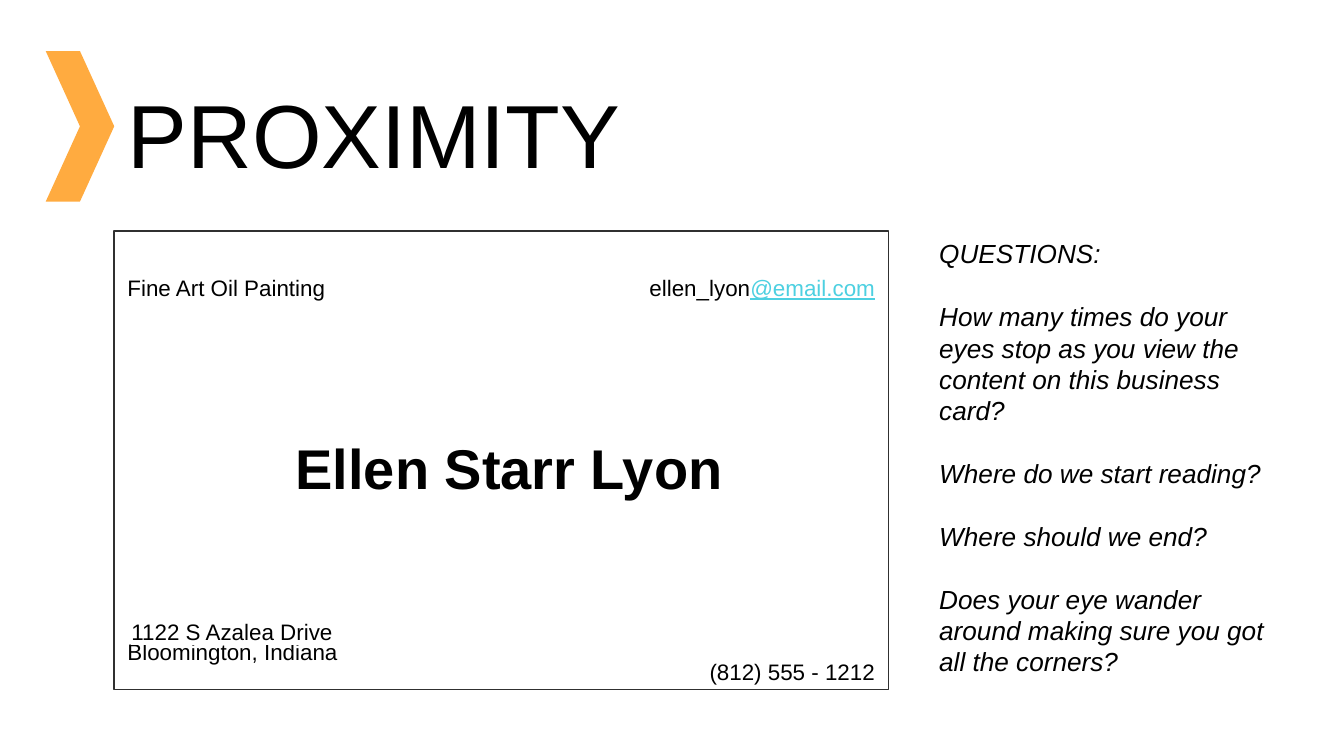
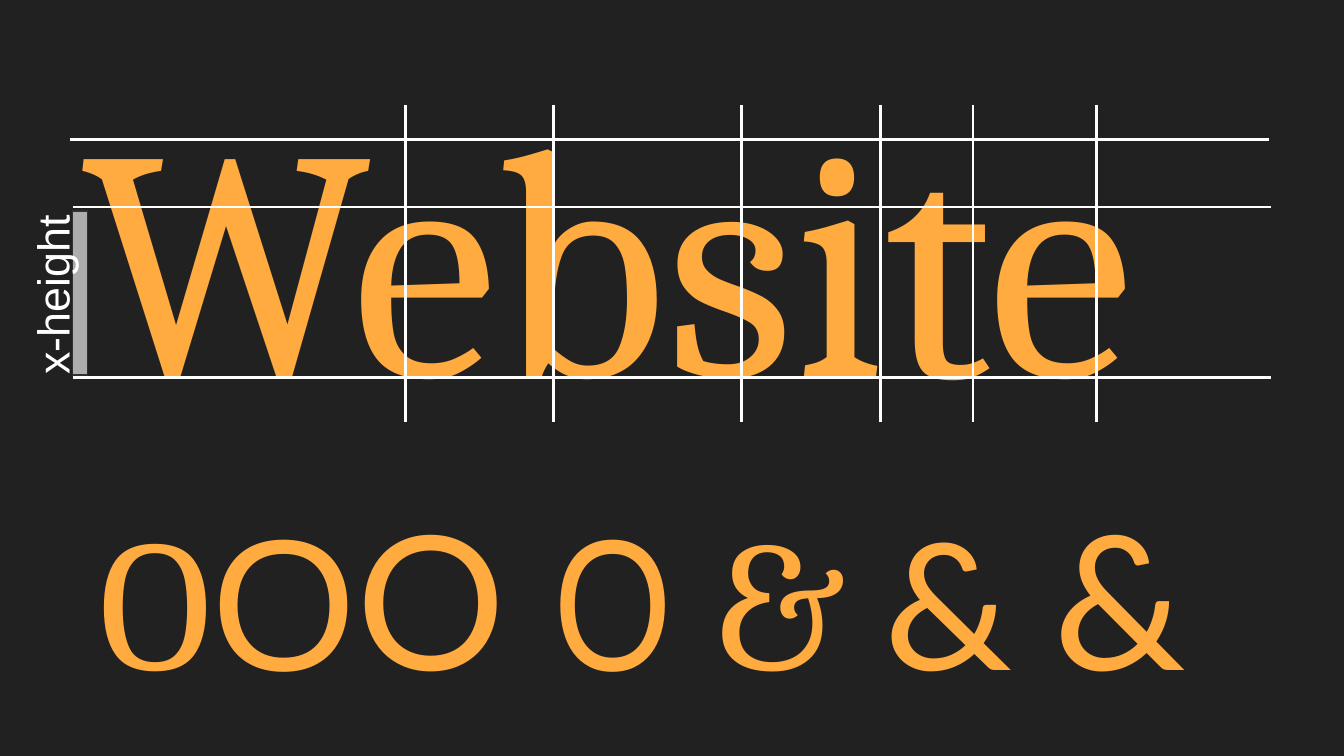
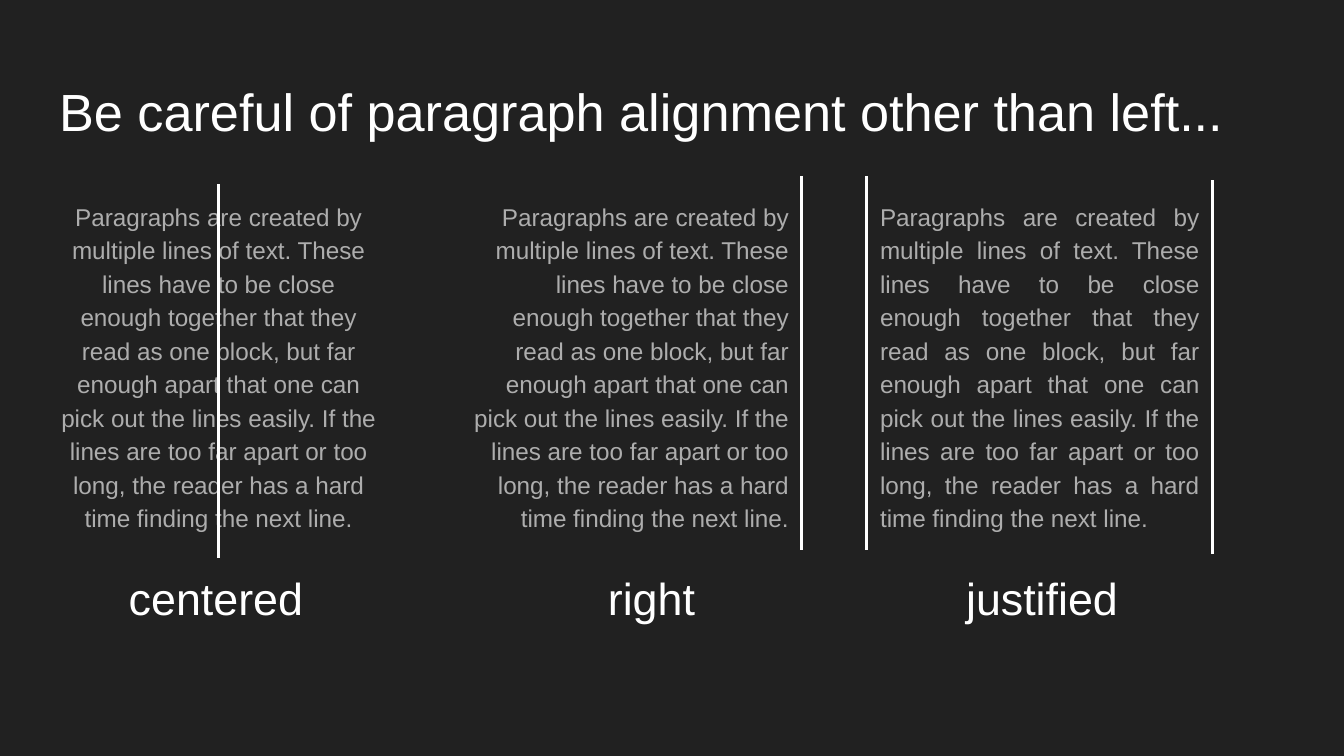
from dataclasses import dataclass

from lxml.etree import SubElement
from pptx import Presentation
from pptx.dml.color import RGBColor
from pptx.enum.shapes import MSO_CONNECTOR as Connector, MSO_SHAPE as Preset
from pptx.enum.text import MSO_ANCHOR as Anchor, MSO_AUTO_SIZE as AutoSize, PP_ALIGN as Align
from pptx.oxml import parse_xml
from pptx.oxml.ns import nsdecls, qn
from pptx.util import Inches, Pt


@dataclass(frozen=True)
class Theme:
    white: str = "FFFFFF"
    black: str = "000000"
    dark: str = "212121"
    outline: str = "303030"
    orange: str = "FFAB40"
    grey: str = "ADADAD"
    link: str = "4DD0E1"
    font: str = "Arial"
    serif: str = "Cambria"
    banner: int = 48
    title: int = 28
    label: int = 24
    body: int = 13
    question: int = 14
    card: int = 12
    card_name: int = 30
    word: int = 175
    glyphs: int = 100
    hairline: float = 0.75
    guide: float = 1.5
    inset: float = 0.1


T = Theme()
WIDTH = 10
HEIGHT = WIDTH * 9 / 16
TITLE_TOP, TITLE_HEIGHT, MARGIN = 0.49, 0.63, 0.34

# Content: proximity
CARD = (0.85, 1.72, 5.76, 3.41)
CARD_RIGHT = CARD[0] + CARD[2]
CARD_HALF = 2.77
RIGHT_HALF = CARD_RIGHT - CARD_HALF
CARD_TEXTS = [  # runs, place, paragraph format, anchor
    ([("Bloomington, Indiana", {})], (CARD[0], 4.65, 2.87, 0.5), {}, Anchor.TOP),
    ([("Fine Art Oil Painting", {})], (CARD[0], CARD[1], CARD_HALF, 0.81),
     {"line_spacing": 1.15}, Anchor.MIDDLE),
    ([("ellen_lyon", {}), ("@email.com", {"color": T.link, "underline": True})],
     (RIGHT_HALF, CARD[1], CARD_HALF, 0.81),
     {"line_spacing": 1.15, "alignment": Align.RIGHT}, Anchor.MIDDLE),
    ([("(812) 555 - 1212", {})], (RIGHT_HALF, 4.67, CARD_HALF, 0.63),
     {"line_spacing": 1.15, "alignment": Align.RIGHT}, Anchor.MIDDLE),
    ([("1122 S Azalea Drive", {})], (0.88, 4.34, 2.66, 0.72), {}, Anchor.MIDDLE),
]
QUESTIONS = [
    "QUESTIONS:",
    "How many times do your eyes stop as you view the content on this business card?",
    "Where do we start reading?",
    "Where should we end?",
    "Does your eye wander around making sure you got all the corners?",
]

# Content: letterforms
HEIGHT_LINES = [(0.52, 1.04), (0.54, 2.81), (0.54, 1.54)]  # left, y
HEIGHT_LINE_LENGTH = 8.92
LETTER_EDGES = [3.02, 4.12, 5.52, 6.55, 7.24, 8.16]
EDGE_TOP, EDGE_BOTTOM = 0.78, 3.14
GLYPHS = [("O", T.serif), ("O", T.font), ("O ", "Lato"), ("O ", "Arial Narrow"),
          ("& ", T.serif), ("& ", "Calibri"), ("&", "Lato")]

# Content: alignment
SAMPLE = ("Paragraphs are created by multiple lines of text. These lines have to be "
          "close enough together that they read as one block, but far enough apart "
          "that one can pick out the lines easily. If the lines are too far apart or "
          "too long, the reader has a hard time finding the next line.")
COLUMN_WIDTH, COLUMN_TOP = 2.57, 1.37
COLUMN_PITCH = (6.45 - MARGIN) / 2
LABEL_TOP, GUIDE_LENGTH = 4.15, 2.78
COLUMNS = [  # label, alignment, label offset and width, guides (share of column, top)
    ("centered", Align.CENTER, 0.52, 1.86, [(0.5, 1.37)]),
    ("right", Align.RIGHT, 1.03, 1.14, [(1, 1.31)]),
    ("justified", Align.JUSTIFY, 0.64, 1.46, [(0, 1.31), (1, 1.34)]),
]


# Shared builders
def rgb(value):
    return RGBColor.from_string(value)


def inches(values):
    return [Inches(value) for value in values]


def apply(target, formats):
    for key, value in formats.items():
        setattr(target, key, value)


def add_run(paragraph, text, size, color, name=T.font, highlight=None, **formats):
    run = paragraph.add_run()
    run.text = text
    apply(run.font, {"size": Pt(size), "name": name, **formats})
    run.font.color.rgb = rgb(color)
    if highlight:  # the highlight has to follow the fill
        mark = parse_xml(f"<a:highlight {nsdecls('a')}><a:srgbClr val='{highlight}'/></a:highlight>")
        run.font._element.find(qn("a:solidFill")).addnext(mark)


def write(box, paragraphs, style, layout=None, anchor=Anchor.TOP, gap=0):
    """Each paragraph is a list of (text, style overrides)."""
    frame = box.text_frame
    margins = ("margin_left", "margin_top", "margin_right", "margin_bottom")
    apply(frame, {"word_wrap": True, "auto_size": AutoSize.NONE, "vertical_anchor": anchor,
                  **dict.fromkeys(margins, Inches(T.inset))})
    for index, runs in enumerate(paragraphs):
        paragraph = frame.add_paragraph() if index else frame.paragraphs[0]
        apply(paragraph, {"alignment": Align.LEFT, "space_before": Pt(gap if index else 0),
                          **(layout or {})})
        for text, changes in runs:
            add_run(paragraph, text, **{**style, **changes})


def add_text(slide, place, paragraphs, style, **options):
    box = slide.shapes.add_textbox(*inches(place))
    write(box, paragraphs, style, **options)
    return box


def add_title(slide, text, left, size, color):
    title = slide.shapes.title
    place = inches((left, TITLE_TOP, WIDTH - MARGIN - left, TITLE_HEIGHT))
    apply(title, dict(zip(("left", "top", "width", "height"), place)))
    write(title, [[(text, {})]], {"size": size, "color": color})


def add_preset(slide, preset, place, fill=None, line=None):
    shape = slide.shapes.add_shape(preset, *inches(place))
    shape.shadow.inherit = False
    if fill:
        shape.fill.solid()
        shape.fill.fore_color.rgb = rgb(fill)
    else:
        shape.fill.background()
    if line:
        shape.line.color.rgb = rgb(line)
        shape.line.width = Pt(T.hairline)
    else:
        shape.line.fill.background()


def add_guide(slide, x1, y1, x2, y2):
    guide = slide.shapes.add_connector(Connector.STRAIGHT, *inches((x1, y1, x2, y2)))
    guide.line.color.rgb = rgb(T.white)
    guide.line.width = Pt(T.guide)
    SubElement(guide._element.spPr, qn("a:effectLst"))


def new_slide(deck, background, titled=True):
    slide = deck.slides.add_slide(deck.slide_layouts[5 if titled else 6])
    slide.background.fill.solid()
    slide.background.fill.fore_color.rgb = rgb(background)
    return slide


# Slides
def proximity(deck):
    slide = new_slide(deck, T.white)
    add_preset(slide, Preset.RECTANGLE, CARD, line=T.outline)
    add_title(slide, "PROXIMITY", CARD[0], T.banner, T.black)
    add_preset(slide, Preset.CHEVRON, (MARGIN, 0.38, CARD[0] - MARGIN, 1.12), fill=T.orange)
    detail = {"size": T.card, "color": T.black, "highlight": T.white}
    for runs, place, layout, anchor in CARD_TEXTS:
        add_text(slide, place, [runs], detail, anchor=anchor,
                 layout={"space_after": Pt(16), **layout})
    add_text(slide, (6.89, 1.67, 2.77, 3.46), [[(question, {})] for question in QUESTIONS],
             {"size": T.question, "color": T.black, "italic": True}, gap=1.2 * T.question)
    add_text(slide, (1.82, 3.03, 3.94, 0.81), [[("Ellen Starr Lyon", {})]],
             {"size": T.card_name, "color": T.black, "bold": True}, anchor=Anchor.MIDDLE,
             layout={"alignment": Align.CENTER, "line_spacing": 1.15, "space_after": Pt(16)})


def letterforms(deck):
    slide = new_slide(deck, T.dark, titled=False)
    add_preset(slide, Preset.RECTANGLE, (0.54, 1.57, 0.11, 1.22), T.grey, T.outline)
    add_text(slide, (0.51, 0.28, 9.29, 2.37), [[("Website", {})]],
             {"size": T.word, "color": T.orange, "name": T.serif})
    for left, y in HEIGHT_LINES:
        add_guide(slide, left, y, left + HEIGHT_LINE_LENGTH, y)
    for x in LETTER_EDGES:
        add_guide(slide, x, EDGE_TOP, x, EDGE_BOTTOM)
    caption = add_text(slide, (-0.48, 1.59, 1.86, 0.73), [[("x-height", {})]],
                       {"size": T.label, "color": T.white})
    caption.rotation = 270
    add_text(slide, (0.64, 3.5, 8.82, 1.52), [[(glyph, {"name": face}) for glyph, face in GLYPHS]],
             {"size": T.glyphs, "color": T.orange})


def alignment(deck):
    slide = new_slide(deck, T.dark)
    add_title(slide, "Be careful of paragraph alignment other than left...",
              MARGIN, T.title, T.white)
    for index, (label, align, offset, label_width, guides) in enumerate(COLUMNS):
        left = MARGIN + index * COLUMN_PITCH
        add_text(slide, (left, COLUMN_TOP, COLUMN_WIDTH, 3.32), [[(SAMPLE, {})]],
                 {"size": T.body, "color": T.grey},
                 layout={"alignment": align, "line_spacing": 1.15, "space_after": Pt(16)})
        add_text(slide, (left + offset, LABEL_TOP, label_width, 0.73), [[(label, {})]],
                 {"size": T.label, "color": T.white})
        for share, top in guides:
            x = left + share * COLUMN_WIDTH
            add_guide(slide, x, top, x, top + GUIDE_LENGTH)


def main():
    deck = Presentation()
    deck.slide_width, deck.slide_height = inches((WIDTH, HEIGHT))
    for build in (proximity, letterforms, alignment):
        build(deck)
    deck.save("out.pptx")


if __name__ == "__main__":
    main()
